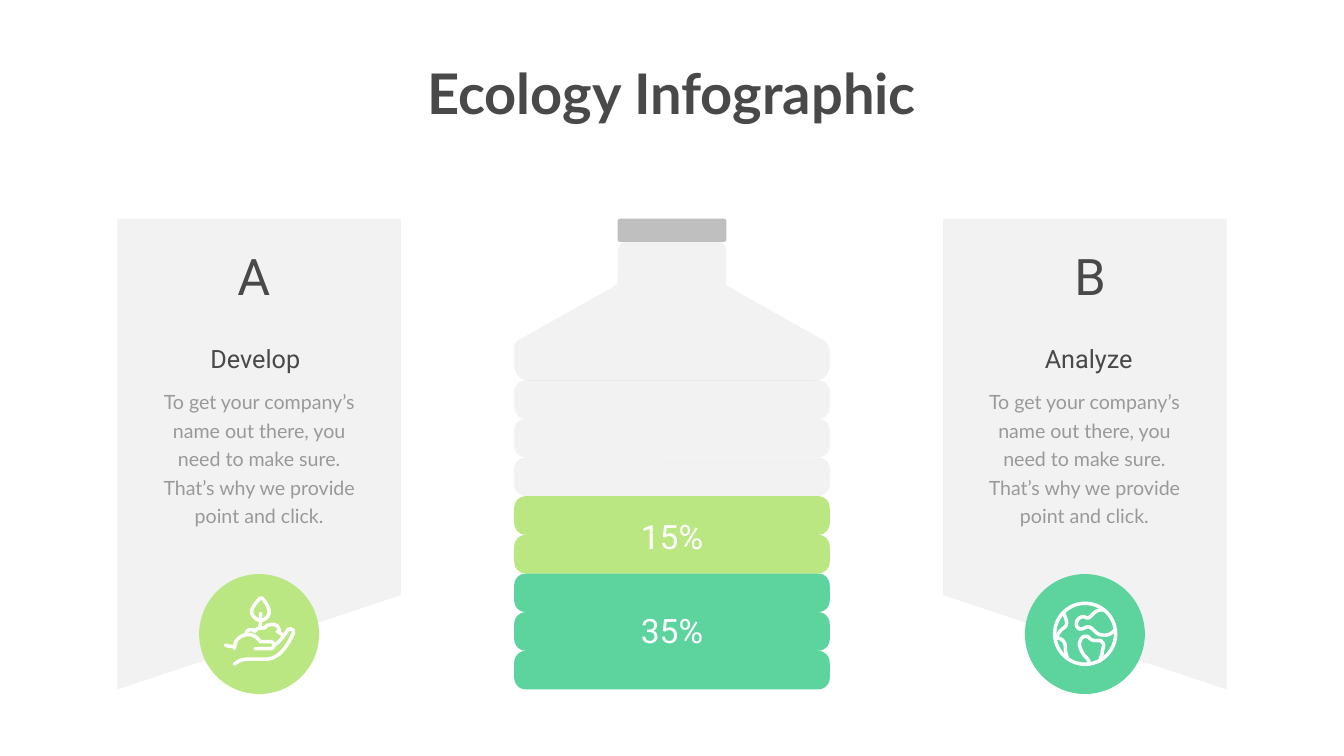
from lxml import etree
from pptx import Presentation
from pptx.dml.color import RGBColor
from pptx.enum.shapes import MSO_CONNECTOR, MSO_SHAPE
from pptx.enum.text import MSO_AUTO_SIZE, PP_ALIGN
from pptx.oxml.ns import qn
from pptx.util import Inches, Pt

ROUNDED = MSO_SHAPE.ROUNDED_RECTANGLE
OVAL = MSO_SHAPE.OVAL
STRAIGHT = MSO_CONNECTOR.STRAIGHT
CENTER = PP_ALIGN.CENTER
FIT_SHAPE = MSO_AUTO_SIZE.SHAPE_TO_FIT_TEXT

GREEN, LIME, GRAY, WHITE, DARK = "5DD39E", "BAE782", "808080", "FFFFFF", "494949"
CURVE_STEPS = 10
STROKE = Pt(5)

presentation = Presentation()
presentation.slide_width = Inches(26.66)
presentation.slide_height = Inches(15)
slide = presentation.slides.add_slide(presentation.slide_layouts[6])


def add_text(text, left, top, width, height, size, font="Roboto", color=DARK,
             bold=False, spacing=None, wrap=True):
    box = slide.shapes.add_textbox(*map(Inches, (left, top, width, height)))
    frame = box.text_frame
    frame.word_wrap = wrap
    frame.auto_size = FIT_SHAPE
    paragraph = frame.paragraphs[0]
    paragraph.alignment = CENTER
    paragraph.line_spacing = spacing
    run = paragraph.add_run()
    run.text = text
    run.font.name = font
    run.font.size = Pt(size)
    run.font.bold = bold
    run.font.color.rgb = RGBColor.from_string(color)


def add_figure(outline, box=None, fill=None, radius=None):
    if box:
        shape = slide.shapes.add_shape(outline, *map(Inches, box))
    else:
        points = [outline[0]]
        for step in outline[1:]:
            if len(step) == 2:
                points.append(step)
                continue
            corners = [points[-1], step[:2], step[2:4], step[4:]]
            for index in range(1, CURVE_STEPS + 1):
                t = index / CURVE_STEPS
                weights = ((1 - t) ** 3, 3 * t * (1 - t) ** 2, 3 * t * t * (1 - t), t ** 3)
                points.append(tuple(sum(w * corner[axis] for w, corner in zip(weights, corners))
                                    for axis in (0, 1)))
        points = [(Inches(x), Inches(y)) for x, y in points]
        builder = slide.shapes.build_freeform(*points[0])
        builder.add_line_segments(points[1:], close=fill is not None)
        shape = builder.convert_to_shape()
    shape.shadow.inherit = False
    if radius:
        shape.adjustments[0] = radius / box[3]
    if fill:
        shape.line.fill.background()
        shape.fill.solid()
        shape.fill.fore_color.rgb = RGBColor.from_string(fill)
        if fill == GRAY:
            color = shape.fill._xPr.find(qn("a:solidFill"))[0]
            etree.SubElement(color, qn("a:alpha"), val="10000")
    else:
        shape.fill.background()
        shape.line.color.rgb = RGBColor.from_string(WHITE)
        shape.line.width = STROKE
        shape.line._ln.set("cap", "rnd")


add_text("Ecology Infographic", 8.27, 1.12, 10.11, 1.45, 80, font="Lato", bold=True, wrap=False)

bottle_left, bottle_width, bottle_bottom, band_height = 10.2, 6.26, 13.68, 0.767
for row, color in enumerate([GREEN] * 3 + [LIME] * 2 + [GRAY] * 3, start=1):
    add_figure(ROUNDED, (bottle_left, bottle_bottom - row * band_height, bottle_width, band_height),
               fill=color, radius=0.23)
add_figure([
    (14.41, 5.66), (14.41, 5.02), (14.41, 4.87, 14.29, 4.74, 14.13, 4.74),
    (12.53, 4.74), (12.38, 4.74, 12.25, 4.87, 12.25, 5.02),
    (12.25, 5.55), (12.25, 5.61, 12.21, 5.68, 12.15, 5.7),
    (10.3, 6.74), (10.24, 6.77, 10.2, 6.83, 10.2, 6.89),
    (10.2, 7.26), (10.2, 7.41, 10.33, 7.55, 10.48, 7.55),
    (16.17, 7.55), (16.33, 7.55, 16.46, 7.41, 16.46, 7.26),
    (16.46, 6.98), (16.46, 6.87, 16.39, 6.76, 16.28, 6.72), (14.4, 5.66),
], fill=GRAY)
add_figure(ROUNDED, (12.25, 4.34, 2.16, 0.46), fill="BFBFBF", radius=0.05)
for label, top in (("15%", 10.18), ("35%", 12.06)):
    add_text(label, 12.22, top, 2.22, 0.91, 48, color=WHITE)

panel_top, panel_width = 4.34, 5.62
panels = [
    ("A", "Develop", 2.33, 13.68, 11.81, 3.78, 2.87, 3.03, 3.95, LIME),
    ("B", "Analyze", 18.71, 11.81, 13.68, 20.37, 19.4, 19.4, 20.33, GREEN),
]
for (letter, heading, left, left_bottom, right_bottom,
     letter_left, heading_left, body_left, circle_left, color) in panels:
    right = left + panel_width
    add_figure([(left, left_bottom), (left, panel_top), (right, panel_top), (right, right_bottom)],
               fill=GRAY)
    add_text(letter, letter_left, 4.81, 2.51, 1.31, 72)
    add_text(heading, heading_left, 6.76, 4.39, 0.71, 36)
    add_text("To get your company’s name out there, you need to make sure. "
             "That’s why we provide point and click.",
             body_left, 7.59, 4.22, 2.92, 28, font="Lato", color="999999", spacing=Pt(40.8))
    add_figure(OVAL, (circle_left, 11.39, 2.38, 2.38), fill=color)

hand_and_plant = [
    [(5.06, 12.87), (5.37, 12.87), (5.4, 12.87, 5.44, 12.83, 5.44, 12.8),
     (5.44, 12.77, 5.4, 12.73, 5.37, 12.73), (5.16, 12.73),
     (5.16, 12.73, 5.09, 12.59, 4.92, 12.59), (4.92, 12.59, 4.65, 12.59, 4.65, 12.87)],
    [(5.44, 12.8), (5.58, 12.73, 5.71, 12.49, 5.71, 12.49),
     (5.75, 12.49, 5.78, 12.46, 5.78, 12.49), (5.82, 12.49, 5.82, 12.52, 5.82, 12.56),
     (5.71, 12.8, 5.64, 12.87, 5.58, 12.94), (5.51, 13.01, 5.4, 13.08, 5.27, 13.08),
     (4.89, 13.08), (4.89, 13.08, 4.75, 13.08, 4.65, 13.18)],
    [(4.64, 12.83), (4.64, 12.83, 4.54, 12.83, 4.47, 12.8)],
    [(5.2, 11.87), (5.16, 11.87), (5.13, 11.9, 4.99, 12.04, 4.99, 12.14),
     (4.99, 12.21, 5.09, 12.31, 5.16, 12.31), (5.27, 12.31, 5.34, 12.21, 5.34, 12.14),
     (5.34, 12.04, 5.23, 11.9, 5.2, 11.87)],
    [(5.61, 12.63), (5.61, 12.6, 5.57, 12.56, 5.5, 12.53), (5.54, 12.53),
     (5.54, 12.42, 5.47, 12.39, 5.4, 12.39), (5.33, 12.39, 5.26, 12.42, 5.26, 12.46),
     (5.23, 12.46, 5.23, 12.46, 5.19, 12.46), (5.13, 12.46, 5.06, 12.49, 5.06, 12.53),
     (5.02, 12.49, 4.99, 12.49, 4.99, 12.49), (4.92, 12.49, 4.88, 12.53, 4.88, 12.6)],
]
continents = [
    [(21.92, 12.12), (21.92, 12.12, 21.82, 12.05, 21.68, 12.18),
     (21.54, 12.36, 21.54, 12.18, 21.44, 12.25), (21.3, 12.29, 21.33, 12.56, 21.51, 12.46),
     (21.68, 12.36, 21.68, 12.6, 21.88, 12.6), (22.02, 12.63, 22.12, 12.49, 22.12, 12.49)],
    [(21.82, 13.12), (21.82, 13.12, 21.82, 13.08, 21.86, 12.98),
     (21.86, 12.87, 21.93, 12.8, 21.86, 12.74), (21.82, 12.67, 21.79, 12.74, 21.68, 12.7),
     (21.61, 12.7, 21.61, 12.6, 21.51, 12.63), (21.44, 12.63, 21.41, 12.77, 21.41, 12.77),
     (21.41, 12.77, 21.41, 12.87, 21.51, 13.01), (21.61, 13.08, 21.61, 13.18, 21.61, 13.18)],
    [(21.1, 12.18), (21.1, 12.18, 21.23, 12.39, 21.1, 12.46),
     (20.99, 12.53, 20.96, 12.66, 20.96, 12.66)],
    [(20.96, 12.66), (20.96, 12.66, 21.06, 12.66, 21.1, 12.73),
     (21.17, 12.84, 21.1, 12.87, 21.17, 13.04)],
]
for stroke in hand_and_plant + continents:
    add_figure(stroke)
add_figure(OVAL, (20.92, 11.97, 1.21, 1.21))

stem = slide.shapes.add_connector(STRAIGHT, *map(Inches, (5.16, 12.46, 5.17, 12.17)))
stem.line.color.rgb = RGBColor.from_string(WHITE)
stem.line.width = STROKE
stem.line._ln.set("cap", "rnd")
etree.SubElement(stem._element.spPr, qn("a:effectLst"))

presentation.save("out.pptx")
